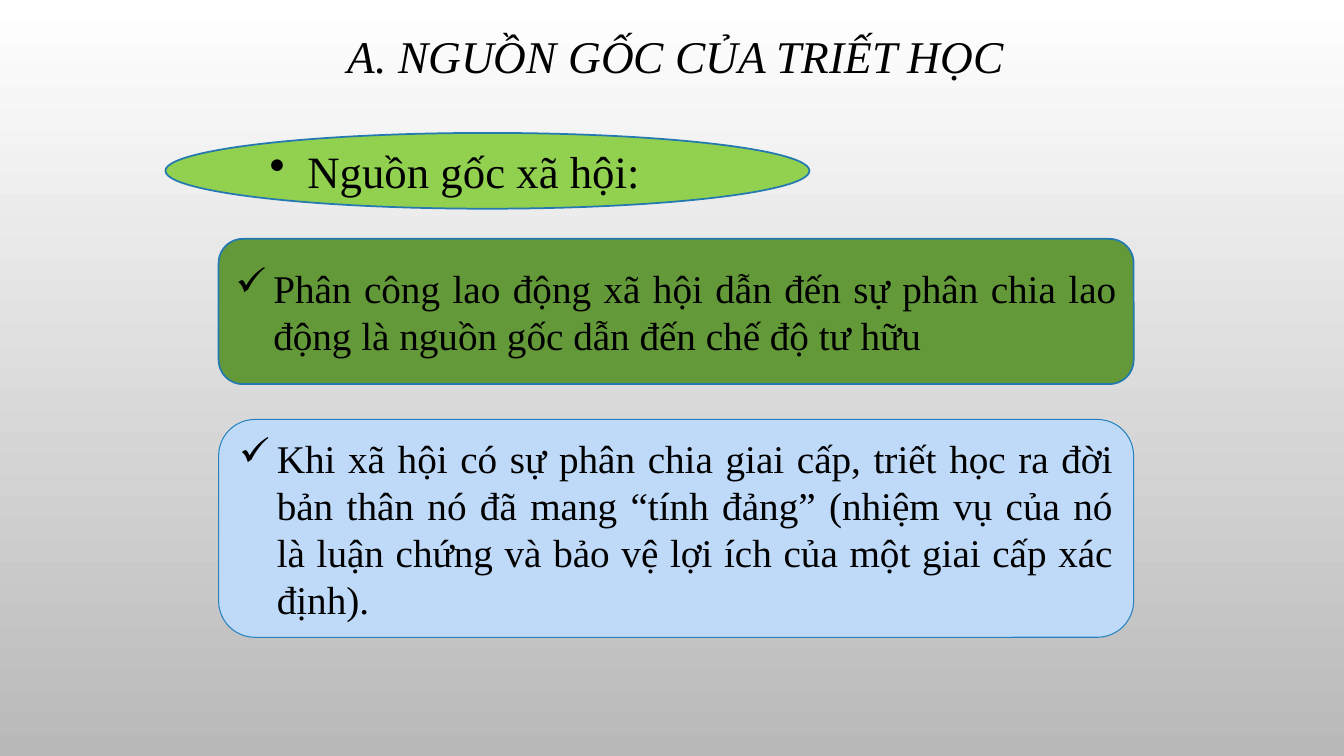
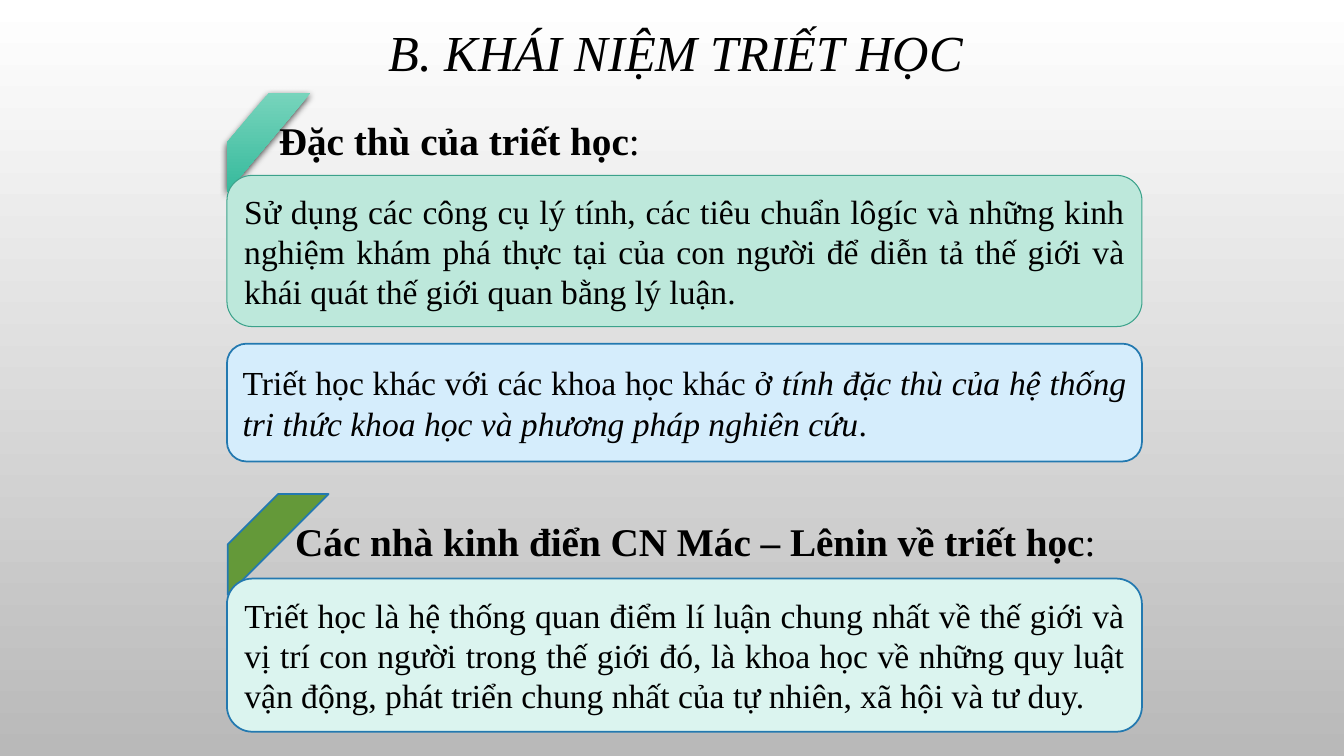
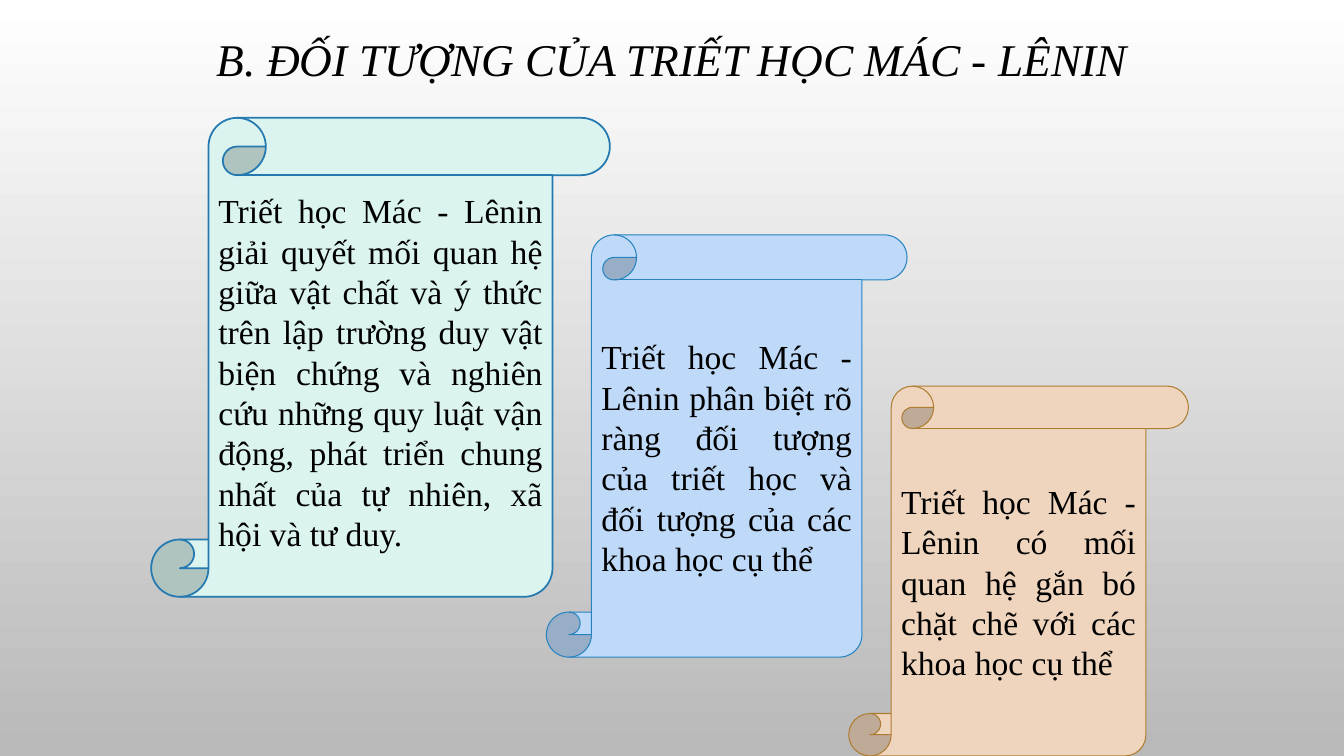
"""Build three slides on the origin, concept and subject of philosophy."""
import dataclasses

import lxml.etree
import pptx
import pptx.dml.color
import pptx.enum.shapes
import pptx.enum.text
import pptx.oxml.ns
import pptx.util

Cm = pptx.util.Cm
Pt = pptx.util.Pt
RGB = pptx.dml.color.RGBColor.from_string
SHAPE = pptx.enum.shapes.MSO_SHAPE
ALIGN = pptx.enum.text.PP_ALIGN
ANCHOR = pptx.enum.text.MSO_ANCHOR
qn = pptx.oxml.ns.qn
SubElement = lxml.etree.SubElement


@dataclasses.dataclass(frozen=True)
class Theme:
    font: str = "Times New Roman"
    ink: str = "000000"
    back: tuple = ("FFFFFF", "B9B9B9")
    stripe: tuple = ("77D4BC", "36BA9C")
    lime: tuple = ("92D050", "2379B0", 1.25)
    green: tuple = ("649939", "2379B0", 1.25)
    blue: tuple = ("BFDAF9", "2683BF", 0.75)
    sky: tuple = ("D5EDFC", "2379B0", 1.25)
    teal: tuple = ("BDE8DB", "3CA28B", 0.75)
    mint: tuple = ("DBF4EF", "2379B0", 1.25)
    sand: tuple = ("EFD5BD", "AE7D32", 0.75)
    title: float = 32.4
    big_title: float = 36
    label: float = 32
    point: float = 28
    body: float = 24


theme = Theme()


def write(sp, runs, size, align=ALIGN.JUSTIFY, bullet=None):
    """Fill a shape with one paragraph and return it; runs are (text, bold, italic)."""
    tf = sp.text_frame
    tf.word_wrap = True
    tf.vertical_anchor = ANCHOR.MIDDLE
    p = tf.paragraphs[0]
    p.alignment = align
    p.font.name = theme.font
    p.font.size = Pt(size)
    p.font.color.rgb = RGB(theme.ink)
    if bullet:
        p.space_before = Pt(size * 0.2)
        pPr = p._p.get_or_add_pPr()
        pPr.set("marL", str(Cm(0.95)))
        pPr.set("indent", str(-Cm(0.95)))
        mark = lxml.etree.Element(qn("a:buChar"), char=bullet)
        pPr.find(qn("a:defRPr")).addprevious(mark)
    for text, bold, italic in runs:
        r = p.add_run()
        r.text = text
        if bold:
            r.font.bold = True
        if italic:
            r.font.italic = True
    return p


def draw(s, kind, at, style):
    """Add a preset shape; style is fill, line and line width, or two gradient colours."""
    sp = s.shapes.add_shape(kind, *map(Cm, at))
    sp.shadow.inherit = False
    if len(style) == 2:
        sp.fill.gradient()
        sp.fill.gradient_angle = 270
        for stop, color in zip(sp.fill.gradient_stops, style):
            stop.color.rgb = RGB(color)
        sp.line.fill.background()
        effects = sp._element.spPr.find(qn("a:effectLst"))
        shadow = SubElement(effects, qn("a:outerShdw"), blurRad=str(Pt(5)), dist=str(Pt(2)), dir="5400000")
        black = SubElement(shadow, qn("a:srgbClr"), val=theme.ink)
        SubElement(black, qn("a:alpha"), val="69000")
    else:
        fill, line, width = style
        sp.fill.solid()
        sp.fill.fore_color.rgb = RGB(fill)
        sp.line.color.rgb = RGB(line)
        sp.line.width = Pt(width)
    return sp


prs = pptx.Presentation()
prs.slide_width = Cm(33.87)
prs.slide_height = Cm(19.05)
back = prs.slide_master.background.fill
back.gradient()
back.gradient_angle = 270
for stop, color in zip(back.gradient_stops, theme.back):
    stop.color.rgb = RGB(color)

titles = [
    ("A. NGUỒN GỐC CỦA TRIẾT HỌC", (4.65, 0.43, 24.77, 2.11), theme.title),
    ("B. KHÁI NIỆM TRIẾT HỌC", (4.65, 0.43, 24.77, 1.91), theme.big_title),
    ("B. ĐỐI TƯỢNG CỦA TRIẾT HỌC MÁC - LÊNIN", (4.24, 0.2, 25.4, 2.74), theme.title),
]
slides = []
for text, at, size in titles:
    s = prs.slides.add_slide(prs.slide_layouts[6])
    p = write(s.shapes.add_textbox(*map(Cm, at)), [(text, False, False)], size, ALIGN.CENTER)
    p.font.italic = True
    p.line_spacing = 0.9
    slides.append(s)
origin, concept, subject = slides

sp = draw(origin, SHAPE.OVAL, (4.17, 3.35, 16.23, 1.91), theme.lime)
write(sp, [("Nguồn gốc xã hội:", False, False)], theme.label, ALIGN.LEFT, "•")
points = [
    (6.02, 3.66, theme.green,
     "Phân công lao động xã hội dẫn đến sự phân chia lao động là nguồn gốc dẫn đến chế độ tư hữu"),
    (10.57, 5.49, theme.blue,
     "Khi xã hội có sự phân chia giai cấp, triết học ra đời bản thân nó đã mang “tính đảng” "
     "(nhiệm vụ của nó là luận chứng và bảo vệ lợi ích của một giai cấp xác định)."),
]
for top, height, style, text in points:
    sp = draw(origin, SHAPE.ROUNDED_RECTANGLE, (5.51, top, 23.06, height), style)
    write(sp, [(text, False, False)], theme.point, bullet="✓")

headings = [
    ("Đặc thù của triết học", (6.78, 2.79, 9.96, 1.45), (5.72, 2.34, 2.11, 2.51), theme.stripe),
    ("Các nhà kinh điển CN Mác – Lênin về triết học", (7.19, 12.9, 21.18, 1.45),
     (5.74, 12.45, 2.54, 2.54), theme.green),
]
for text, at, stripe_at, style in headings:
    draw(concept, SHAPE.DIAGONAL_STRIPE, stripe_at, style)
    sp = concept.shapes.add_textbox(*map(Cm, at))
    write(sp, [(text, True, False), (":", False, False)], theme.point, ALIGN.LEFT)
panels = [
    (4.42, 3.81, theme.teal,
     [("Sử dụng các công cụ lý tính, các tiêu chuẩn lôgíc và những kinh nghiệm khám phá thực tại "
       "của con người để diễn tả thế giới và khái quát thế giới quan bằng lý luận.", False, False)]),
    (8.66, 2.97, theme.sky,
     [("Triết học khác với các khoa học khác ở ", False, False),
      ("tính đặc thù của hệ thống tri thức khoa học và phương pháp nghiên cứu", False, True),
      (".", False, False)]),
    (14.58, 3.86, theme.mint,
     [("Triết học là hệ thống quan điểm lí luận chung nhất về thế giới và vị trí con người trong "
       "thế giới đó, là khoa học về những quy luật vận động, phát triển chung nhất của tự nhiên, "
       "xã hội và tư duy.", False, False)]),
]
for top, height, style, runs in panels:
    sp = draw(concept, SHAPE.ROUNDED_RECTANGLE, (5.72, top, 23.06, height), style)
    write(sp, runs, theme.body)

scrolls = [
    ((3.81, 2.97, 11.56, 12.07), theme.mint,
     "giải quyết mối quan hệ giữa vật chất và ý thức trên lập trường duy vật biện chứng và nghiên cứu "
     "những quy luật vận động, phát triển chung nhất của tự nhiên, xã hội và tư duy."),
    ((13.77, 5.92, 9.09, 10.64), theme.blue,
     "phân biệt rõ ràng đối tượng của triết học và đối tượng của các khoa học cụ thể"),
    ((21.39, 9.73, 8.56, 9.32), theme.sand,
     "có mối quan hệ gắn bó chặt chẽ với các khoa học cụ thể"),
]
for at, style, text in scrolls:
    sp = draw(subject, SHAPE.VERTICAL_SCROLL, at, style)
    write(sp, [("Triết học Mác - Lênin " + text, False, False)], theme.body)

prs.save("out.pptx")
